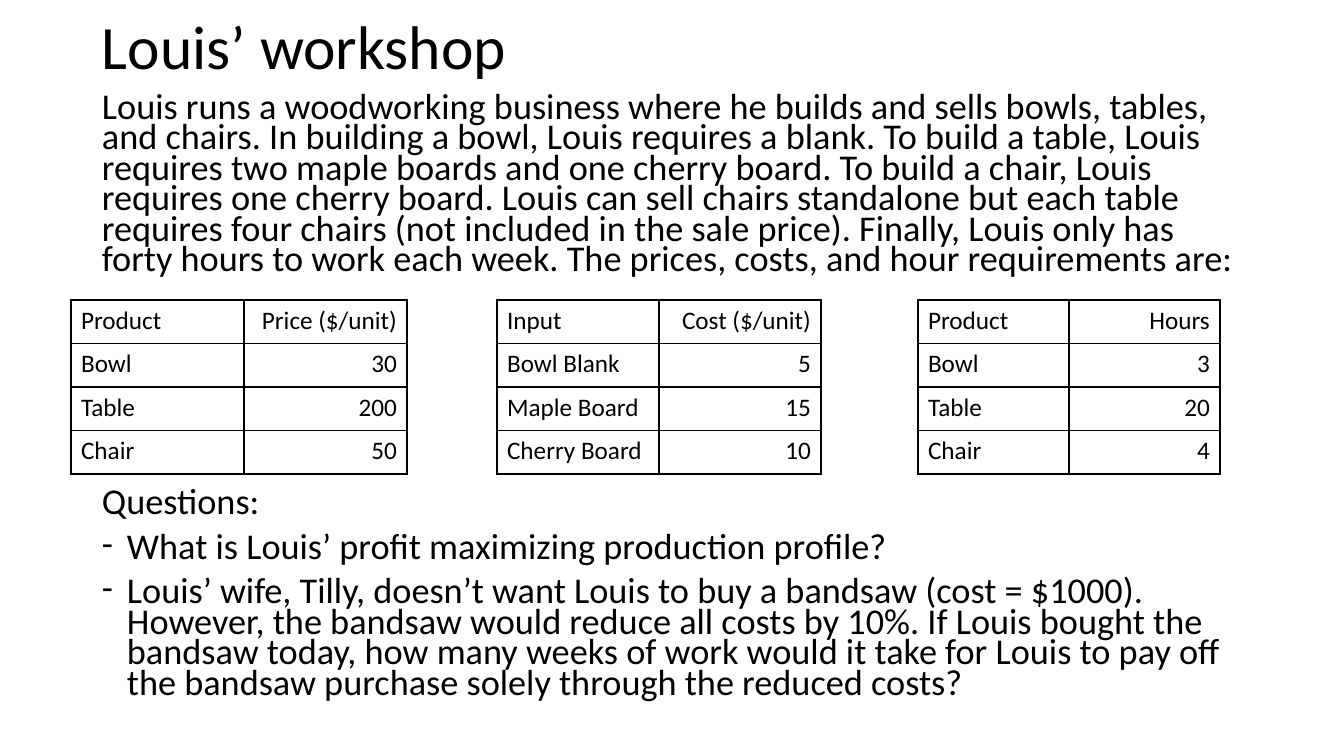
from lxml.etree import SubElement
from pptx import Presentation
from pptx.dml.color import RGBColor
from pptx.enum.text import MSO_ANCHOR as Anchor, PP_ALIGN as Align
from pptx.oxml.ns import qn
from pptx.util import Pt

EMU_PER_PX = 914400 / 100.8
COLORS = {"ink": "000000", "paper": "FFFFFF"}

INTRO = (
    "Louis runs a woodworking business where he builds and sells bowls, tables, and chairs. "
    "In building a bowl, Louis requires a blank. To build a table, Louis requires two maple "
    "boards and one cherry board. To build a chair, Louis requires one cherry board. Louis can "
    "sell chairs standalone but each table requires four chairs (not included in the sale price). "
    "Finally, Louis only has forty hours to work each week. The prices, costs, and hour "
    "requirements are:"
)
QUESTIONS = [
    "What is Louis’ profit maximizing production profile?",
    "Louis’ wife, Tilly, doesn’t want Louis to buy a bandsaw (cost = $1000). However, the bandsaw "
    "would reduce all costs by 10%. If Louis bought the bandsaw today, how many weeks of work "
    "would it take for Louis to pay off the bandsaw purchase solely through the reduced costs?",
]
TABLE_GAP = 152
BODY = [(INTRO, 10, False), ("Questions:", TABLE_GAP, False)]
BODY += [(question, 10, True) for question in QUESTIONS]

PRICES = [("Product", "Price ($/unit)"), ("Bowl", "30"), ("Table", "200"), ("Chair", "50")]
COSTS = [("Input", "Cost ($/unit)"), ("Bowl Blank", "5"), ("Maple Board", "15"), ("Cherry Board", "10")]
HOURS = [("Product", "Hours"), ("Bowl", "3"), ("Table", "20"), ("Chair", "4")]
TABLES = [(71, (173, 163), PRICES), (497, (162, 162), COSTS), (918, (151, 151), HOURS)]


def px(length):
    return round(length * EMU_PER_PX)


class WorkshopSlide:
    font = "Calibri"
    dash_indent = 25

    def __init__(self, presentation):
        self.slide = presentation.slides.add_slide(presentation.slide_layouts[6])
        background = self.slide.background.fill
        background.solid()
        background.fore_color.rgb = RGBColor.from_string(COLORS["paper"])

    def format_runs(self, paragraph, size):
        for run in paragraph.runs:
            run.font.name = self.font
            run.font.size = Pt(size)
            run.font.color.rgb = RGBColor.from_string(COLORS["ink"])

    def add_text(self, box, paragraphs, size, line_spacing, anchor):
        shape = self.slide.shapes.add_textbox(*map(px, box))
        frame = shape.text_frame
        frame.word_wrap = True
        frame.vertical_anchor = anchor
        for index, (text, space_before, dashed) in enumerate(paragraphs):
            paragraph = frame.add_paragraph() if index else frame.paragraphs[0]
            paragraph.text = text
            paragraph.line_spacing = line_spacing
            paragraph.space_before = Pt(space_before)
            self.format_runs(paragraph, size)
            if dashed:
                self.add_dash(paragraph)

    def add_dash(self, paragraph):
        properties = paragraph._p.get_or_add_pPr()
        properties.set("marL", str(px(self.dash_indent)))
        properties.set("indent", str(-px(self.dash_indent)))
        SubElement(properties, qn("a:buFont"), typeface=self.font)
        SubElement(properties, qn("a:buChar"), char="-")

    def add_borders(self, cell):
        properties = cell._tc.get_or_add_tcPr()
        for side in ("lnL", "lnR", "lnT", "lnB"):
            line = SubElement(properties, qn(f"a:{side}"), w=str(Pt(1)))
            fill = SubElement(line, qn("a:solidFill"))
            SubElement(fill, qn("a:srgbClr"), val=COLORS["ink"])

    def add_table(self, left, top, height, widths, rows, size):
        box = map(px, (left, top, sum(widths), height))
        table = self.slide.shapes.add_table(len(rows), len(widths), *box).table
        table.first_row = False
        table.horz_banding = False
        for column, width in zip(table.columns, widths):
            column.width = px(width)
        for row_index, row in enumerate(rows):
            for column_index, text in enumerate(row):
                cell = table.cell(row_index, column_index)
                cell.text = text
                self.add_borders(cell)
                cell.fill.background()
                paragraph = cell.text_frame.paragraphs[0]
                paragraph.alignment = Align.RIGHT if column_index else Align.LEFT
                self.format_runs(paragraph, size)


def main():
    presentation = Presentation()
    presentation.slide_width = px(1344)
    presentation.slide_height = px(756)
    workshop = WorkshopSlide(presentation)
    workshop.add_text((92, -23, 1159, 146), [("Louis’ workshop", 0, False)], 44, 0.9, Anchor.MIDDLE)
    workshop.add_text((92, 90, 1159, 653), BODY, 25.9, 0.7, Anchor.TOP)
    for left, widths, rows in TABLES:
        workshop.add_table(left, 300, 174, widths, rows, 18)
    presentation.save("out.pptx")


if __name__ == "__main__":
    main()
